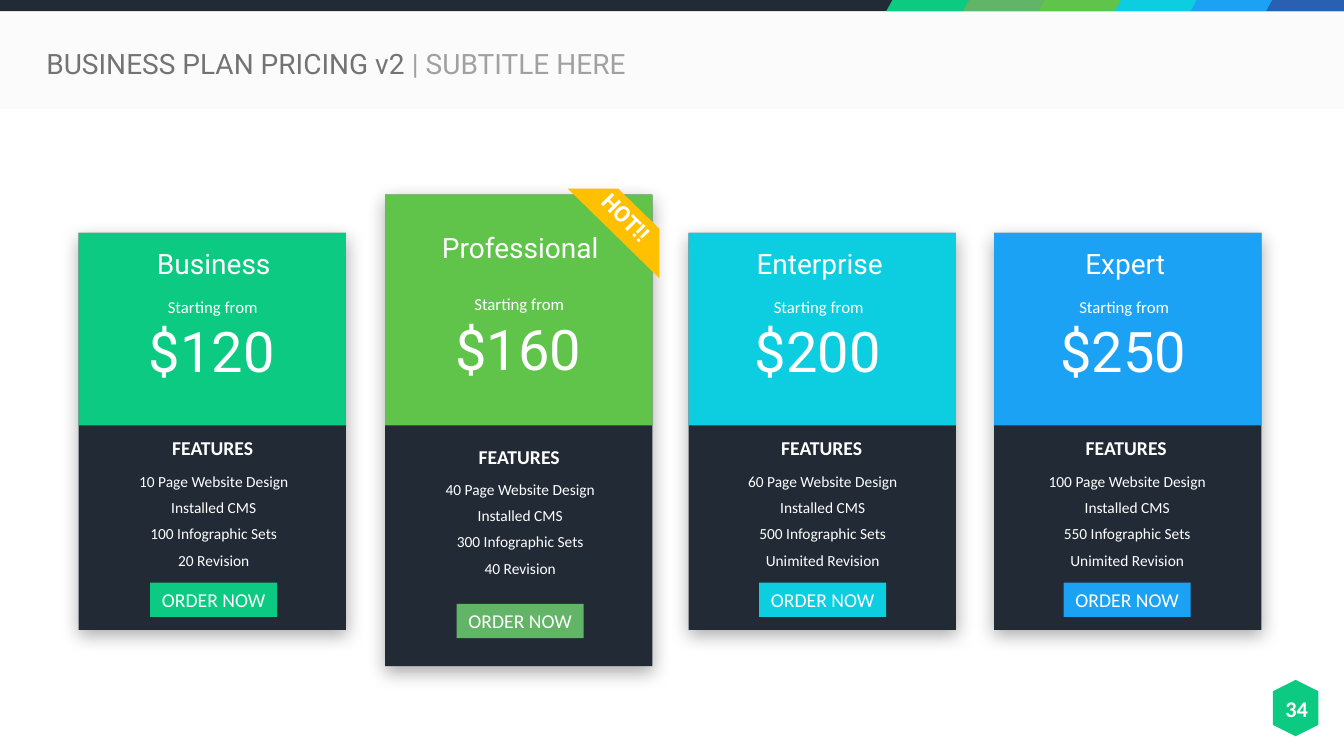
"""Build a pricing slide with four plan cards."""
from dataclasses import dataclass

from lxml import etree
from pptx import Presentation
from pptx import util as u
from pptx.dml.color import RGBColor
from pptx.enum import shapes, text
from pptx.oxml.ns import qn


@dataclass(frozen=True)
class Theme:
    dark: str = "222A35"
    band: str = "F2F2F2"
    white: str = "FFFFFF"
    title: str = "404040"
    subtitle: str = "808080"
    green: str = "0CCA82"
    sage: str = "62B466"
    lime: str = "61C44A"
    cyan: str = "0DCDE1"
    blue: str = "1BA2F5"
    navy: str = "2960B1"
    gold: str = "FFC000"
    heading_font: str = "Roboto"
    body_font: str = "Calibri"
    price_size: int = 40
    heading_size: int = 20
    badge_size: int = 16
    label_size: int = 14
    small_size: int = 12
    item_size: int = 11


THEME = Theme()
TITLE = [("BUSINESS PLAN PRICING v2 ", THEME.title), ("| SUBTITLE HERE", THEME.subtitle)]
STRIPES = [THEME.green, THEME.sage, THEME.lime, THEME.cyan, THEME.blue]
PLANS = [
    dict(name="Business", price="$120", color=THEME.green, button=THEME.green,
         left=0.78, head=2.12, body=2.12, hot=False,
         items=["10 Page Website Design", "Installed CMS", "100 Infographic Sets", "20 Revision"]),
    dict(name="Professional", price="$160", color=THEME.lime, button=THEME.sage,
         left=3.82, head=5.16, body=5.16, hot=True,
         items=["40 Page Website Design", "Installed CMS", "300 Infographic Sets", "40 Revision"]),
    dict(name="Enterprise", price="$200", color=THEME.cyan, button=THEME.cyan,
         left=6.83, head=8.13, body=8.16, hot=False,
         items=["60 Page Website Design", "Installed CMS", "500 Infographic Sets", "Unimited Revision"]),
    dict(name="Expert", price="$250", color=THEME.blue, button=THEME.blue,
         left=9.86, head=11.16, body=11.18, hot=False,
         items=["100 Page Website Design", "Installed CMS", "550 Infographic Sets", "Unimited Revision"]),
]
NORMAL_ROWS = dict(top=2.31, bottom=6.25, name=2.39, starting=2.89, price=3.09,
                   features=4.27, items=4.63, button=5.78)
HOT_ROWS = dict(top=1.93, bottom=6.61, name=2.23, starting=2.86, price=3.07,
                features=4.36, items=4.71, button=5.99)
CARD_WIDTH, TEXT_WIDTH, BUTTON_WIDTH = 2.65, 2.49, 1.26
SPLIT, ITEM_STEP = 4.22, 0.26
BAR_HEIGHT, STRIPE_LEFT, STRIPE_STEP = 0.11, 8.79, 0.753
BAR_END = [(12.62, 0), (13.33, 0), (13.33, 0.11), (12.56, 0.11)]
RIBBON = [(5.63, 1.87), (6.13, 1.87), (6.54, 2.27), (6.54, 2.76)]
RECTANGLE = shapes.MSO_SHAPE.RECTANGLE


def paint(shape, color):
    shape.fill.solid()
    shape.fill.fore_color.rgb = RGBColor.from_string(color)
    shape.line.fill.background()
    shape.shadow.inherit = False
    return shape


def add_block(slide, kind, box, color):
    return paint(slide.shapes.add_shape(kind, *map(u.Inches, box)), color)


def add_outline(slide, points, color):
    corners = [(u.Inches(x), u.Inches(y)) for x, y in points]
    builder = slide.shapes.build_freeform(*corners[0])
    builder.add_line_segments(corners[1:], close=True)
    return paint(builder.convert_to_shape(), color)


def set_alpha(color_element, percent):
    etree.SubElement(color_element, qn("a:alpha")).set("val", str(percent * 1000))


def add_card_shadow(shape):
    effects = shape._element.spPr.find(qn("a:effectLst"))
    shadow = etree.SubElement(effects, qn("a:outerShdw"), blurRad=str(u.Pt(13)),
                              dist=str(u.Pt(4)), dir="5400000", algn="t", rotWithShape="0")
    set_alpha(etree.SubElement(shadow, qn("a:srgbClr"), val="000000"), 32)


def write_runs(shape, runs, *, size, font=THEME.body_font, bold=False,
               align=text.PP_ALIGN.CENTER, spacing=None):
    frame = shape.text_frame
    frame.word_wrap = True
    frame.vertical_anchor = text.MSO_ANCHOR.MIDDLE
    frame.margin_left = frame.margin_right = frame.margin_top = frame.margin_bottom = 0
    paragraph = frame.paragraphs[0]
    paragraph.alignment = align
    paragraph.line_spacing = spacing
    for words, color in runs:
        run = paragraph.add_run()
        run.text = words
        run.font.size = u.Pt(size)
        run.font.name = font
        run.font.bold = bold
        run.font.color.rgb = RGBColor.from_string(color)


def add_label(slide, words, center, top, width, height, **style):
    box = (center - width / 2, top, width, height)
    shape = slide.shapes.add_textbox(*map(u.Inches, box))
    write_runs(shape, [(words, THEME.white)], **style)
    return shape


def add_header(slide):
    band = add_block(slide, RECTANGLE, (0, BAR_HEIGHT, 13.33, 0.97), THEME.band)
    set_alpha(band._element.spPr.find(qn("a:solidFill"))[0], 29)
    add_block(slide, RECTANGLE, (0, 0, 13.33, BAR_HEIGHT), THEME.dark)
    for index, color in reversed(list(enumerate(STRIPES))):
        box = (STRIPE_LEFT + index * STRIPE_STEP, 0, 0.82, BAR_HEIGHT)
        stripe = add_block(slide, shapes.MSO_SHAPE.PARALLELOGRAM, box, color)
        stripe.adjustments[0] = 0.562
    add_outline(slide, BAR_END, THEME.navy)
    title = slide.shapes.title
    title.left, title.top, title.width, title.height = map(u.Inches, (0.46, 0.37, 7.22, 0.55))
    write_runs(title, TITLE, size=THEME.heading_size, font=THEME.heading_font,
               align=text.PP_ALIGN.LEFT, spacing=0.9)


def add_plan(slide, plan):
    rows = HOT_ROWS if plan["hot"] else NORMAL_ROWS
    left, top, head, body = plan["left"], rows["top"], plan["head"], plan["body"]
    card = add_block(slide, RECTANGLE, (left, top, CARD_WIDTH, rows["bottom"] - top), THEME.dark)
    add_card_shadow(card)
    add_block(slide, RECTANGLE, (left, top, CARD_WIDTH, SPLIT - top), plan["color"])
    add_label(slide, plan["name"], head, rows["name"], TEXT_WIDTH, 0.44,
              size=THEME.heading_size, font=THEME.heading_font)
    add_label(slide, "Starting from", head - 0.01, rows["starting"], TEXT_WIDTH, 0.3,
              size=THEME.small_size)
    add_label(slide, plan["price"], head - 0.02, rows["price"], 1.87, 0.77,
              size=THEME.price_size, font=THEME.heading_font)
    add_label(slide, "FEATURES", body - 0.01, rows["features"], TEXT_WIDTH, 0.34,
              size=THEME.label_size, bold=True)
    for index, item in enumerate(plan["items"]):
        add_label(slide, item, body, rows["items"] + index * ITEM_STEP, TEXT_WIDTH, 0.29,
                  size=THEME.item_size)
    box = (body - BUTTON_WIDTH / 2, rows["button"], BUTTON_WIDTH, 0.34)
    button = add_block(slide, RECTANGLE, box, plan["button"])
    write_runs(button, [("ORDER NOW", THEME.white)], size=THEME.label_size)
    if plan["hot"]:
        add_outline(slide, RIBBON, THEME.gold)
        label = add_label(slide, "HOT!!", 6.21, 1.97, 0.86, 0.37, size=THEME.badge_size,
                          font=THEME.heading_font, bold=True)
        label.rotation = 45


def add_page_number(slide):
    hexagon = add_block(slide, shapes.MSO_SHAPE.HEXAGON, (12.57, 6.8, 0.56, 0.45), THEME.green)
    hexagon.rotation = 90
    add_label(slide, "34", 12.86, 6.84, 0.61, 0.37, size=THEME.badge_size, bold=True)


def main():
    presentation = Presentation()
    presentation.slide_width, presentation.slide_height = u.Inches(13.33), u.Inches(7.5)
    slide = presentation.slides.add_slide(presentation.slide_layouts[5])
    add_header(slide)
    for plan in PLANS:
        add_plan(slide, plan)
    add_page_number(slide)
    presentation.save("out.pptx")


if __name__ == "__main__":
    main()
